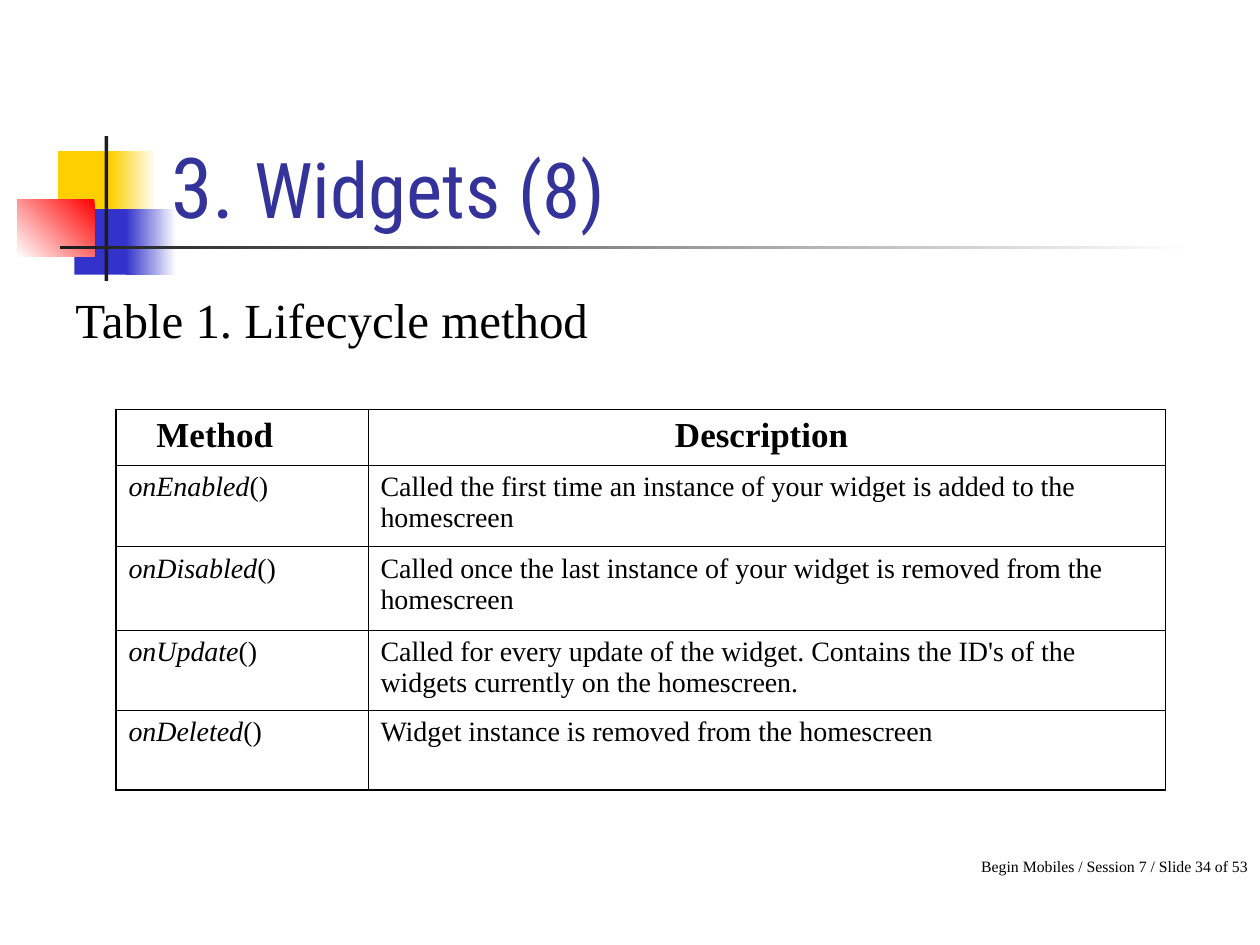
from lxml import etree
from pptx import Presentation
from pptx import util as u
from pptx.dml.color import RGBColor
from pptx.enum import shapes, text
from pptx.oxml import ns

INK, DARK, WHITE = "000000", "1C1C1C", "FFFFFF"
YELLOW, BLUE, RED, NAVY = "FFCF01", "3333CC", "FF0000", "333399"
THIN, THICK = 0.45, 1.08


def color(value):
    return RGBColor.from_string(value)


def box(left, top, width, height):
    return [u.Inches(length) for length in (left, top, width, height)]


class SlideBuilder:
    body_font = "Times New Roman"
    title_font = "Roboto Condensed"

    def __init__(self, presentation):
        self.slide = presentation.slides.add_slide(presentation.slide_layouts[5])

    def format_run(self, run, size, fill=INK, font=None, bold=False, italic=False):
        run.font.name = font or self.body_font
        run.font.size = u.Pt(size)
        run.font.color.rgb = color(fill)
        run.font.bold = bold
        run.font.italic = italic

    def block(self, place, fill, fade_to=None, angle=0):
        shape = self.slide.shapes.add_shape(shapes.MSO_SHAPE.RECTANGLE, *box(*place))
        shape.shadow.inherit = False
        shape.line.fill.background()
        if fade_to:
            shape.fill.gradient()
            shape.fill.gradient_angle = angle
            for stop, value in zip(shape.fill.gradient_stops, (fill, fade_to)):
                stop.color.rgb = color(value)
        else:
            shape.fill.solid()
            shape.fill.fore_color.rgb = color(fill)

    def title(self, place, parts):
        shape = self.slide.shapes.title
        shape.left, shape.top, shape.width, shape.height = box(*place)
        # Bring the title in front of the ornament
        self.slide.shapes._spTree.append(shape._element)
        frame = shape.text_frame
        frame.auto_size = text.MSO_AUTO_SIZE.NONE
        frame.vertical_anchor = text.MSO_ANCHOR.BOTTOM
        paragraph = frame.paragraphs[0]
        paragraph.alignment = text.PP_ALIGN.LEFT
        for words, size in parts:
            run = paragraph.add_run()
            run.text = words
            self.format_run(run, size, NAVY, self.title_font)

    def label(self, place, words, size, align=text.PP_ALIGN.LEFT):
        frame = self.slide.shapes.add_textbox(*box(*place)).text_frame
        frame.word_wrap = True
        frame.text = words
        paragraph = frame.paragraphs[0]
        paragraph.alignment = align
        self.format_run(paragraph.runs[0], size)

    def borders(self, cell, widths):
        properties = cell._tc.get_or_add_tcPr()
        for index, (side, width) in enumerate(zip("LRTB", widths)):
            line = etree.Element(ns.qn(f"a:ln{side}"), w=str(u.Pt(width)))
            fill = etree.SubElement(line, ns.qn("a:solidFill"))
            etree.SubElement(fill, ns.qn("a:srgbClr"), val=INK)
            properties.insert(index, line)

    def table(self, place, column_widths, row_heights, header, rows):
        last_row, last_column = len(rows), len(header) - 1
        table = self.slide.shapes.add_table(last_row + 1, len(header), *box(*place)).table
        table.first_row = table.horz_banding = False
        for column, width in zip(table.columns, column_widths):
            column.width = u.Inches(width)
        for row, height in zip(table.rows, row_heights):
            row.height = u.Inches(height)

        # Header cells: the right margin shifts the centred words to the left
        for column, (words, margin) in enumerate(header):
            cell = table.cell(0, column)
            cell.margin_right = u.Inches(margin)
            cell.text_frame.text = words
            paragraph = cell.text_frame.paragraphs[0]
            paragraph.alignment = text.PP_ALIGN.CENTER
            self.format_run(paragraph.runs[0], 20, bold=True)

        # Method names in italics, followed by upright brackets
        for row, (method, description) in enumerate(rows, 1):
            paragraph = table.cell(row, 0).text_frame.paragraphs[0]
            for words, italic in ((method, True), ("()", False)):
                run = paragraph.add_run()
                run.text = words
                self.format_run(run, 16, italic=italic)
            frame = table.cell(row, 1).text_frame
            frame.text = description
            self.format_run(frame.paragraphs[0].runs[0], 16)

        # Thick outline, thin inner lines
        for row in range(last_row + 1):
            for column in range(last_column + 1):
                cell = table.cell(row, column)
                cell.text_frame.paragraphs[0].space_before = u.Pt(4 if row else 5)
                cell.fill.background()
                outer = (column == 0, column == last_column, row == 0, row == last_row)
                self.borders(cell, [THICK if edge else THIN for edge in outer])


def main():
    presentation = Presentation()
    presentation.slide_width = u.Inches(10)
    presentation.slide_height = u.Inches(7.5)
    builder = SlideBuilder(presentation)

    # Ornament of squares and crossing bars
    builder.block((0.46, 1.2, 0.48, 0.52), YELLOW)
    builder.block((0.88, 1.2, 0.36, 0.52), WHITE, YELLOW, 180)
    builder.block((0.59, 1.66, 0.46, 0.52), BLUE)
    builder.block((1, 1.66, 0.4, 0.52), WHITE, BLUE, 180)
    builder.block((0.14, 1.58, 0.61, 0.46), RED, WHITE, 225)
    builder.block((0.83, 1.08, 0.03, 1.15), DARK)
    builder.block((0.48, 1.95, 9, 0.03), WHITE, DARK, 180)

    # Footer, title and caption
    builder.label((5.08, 6.75, 4.92, 0.25), "Begin Mobiles / Session 7 / Slide 34 of 53",
                  9, text.PP_ALIGN.RIGHT)
    builder.title((1.26, 0.67, 8.52, 1.25), [("3. ", 48), ("Widgets (8)", 44)])
    builder.label((0.5, 2.25, 8.83, 0.6), "Table 1. Lifecycle method", 28)

    # Lifecycle methods
    builder.table(
        (0.92, 3.25, 8.33, 3.02), (2, 6.33), (0.44, 0.65, 0.66, 0.64, 0.63),
        [("Method", 0.53), ("Description", 0.18)],
        [("onEnabled",
          "Called the first time an instance of your widget is added to the homescreen"),
         ("onDisabled",
          "Called once the last instance of your widget is removed from the homescreen"),
         ("onUpdate",
          "Called for every update of the widget. Contains the ID's of the widgets "
          "currently on the homescreen."),
         ("onDeleted", "Widget instance is removed from the homescreen")])

    presentation.save("out.pptx")


if __name__ == "__main__":
    main()
